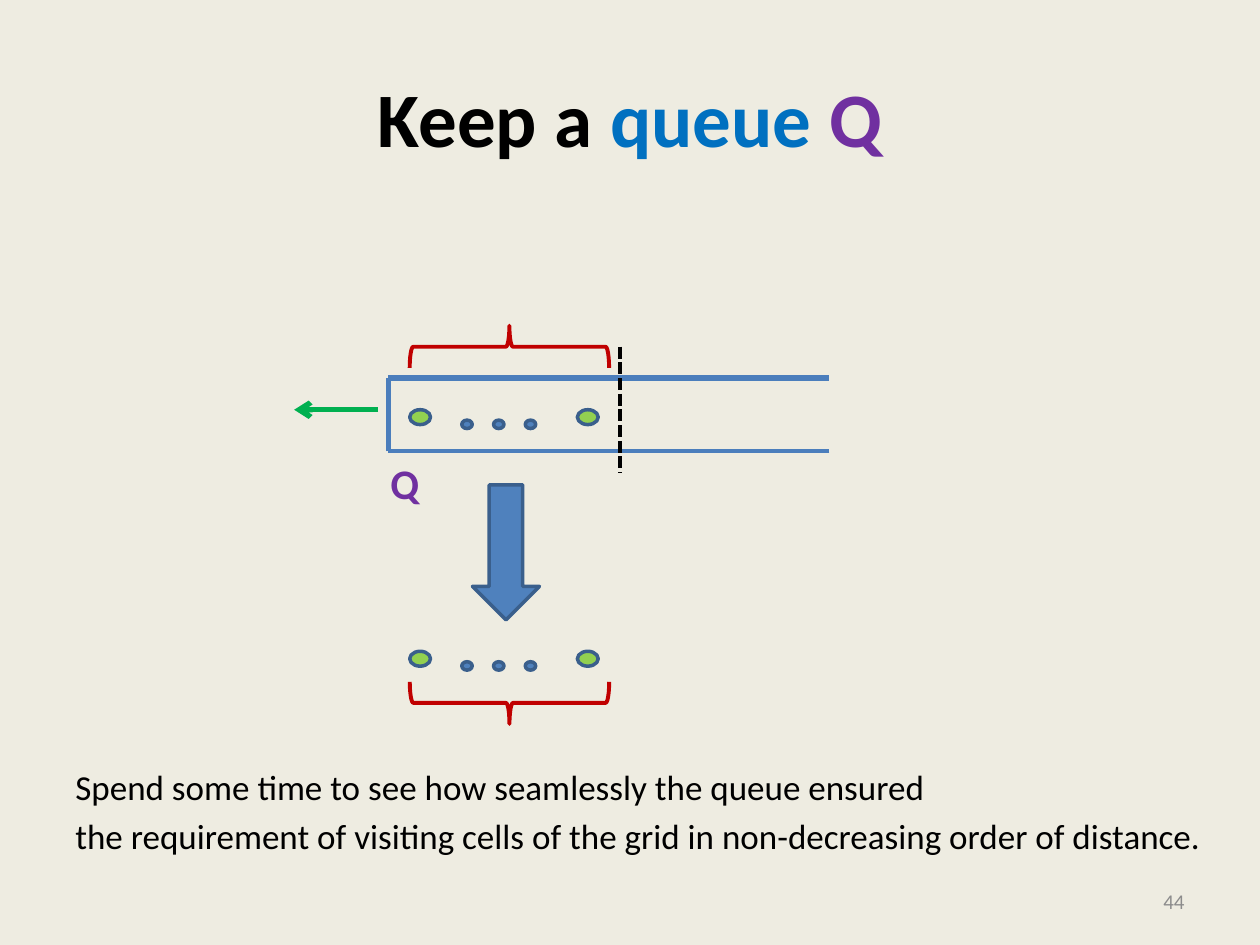
from lxml import etree
from pptx import Presentation
from pptx.dml.color import RGBColor
from pptx.enum import dml, shapes, text
from pptx.oxml import ns
from pptx.util import Cm, Pt

COLORS = {
    "background": "EEECE1",
    "black": "000000",
    "queue": "0070C0",
    "name": "7030A0",
    "number": "8C8C8C",
    "cell": "92D050",
    "blue": "4F81BD",
    "outline": "3A5F8C",
    "rail": "4B7EBC",
    "brace": "C00000",
    "exit": "00B050",
}
SHAPE = shapes.MSO_SHAPE


def rgb(name):
    return RGBColor.from_string(COLORS[name])


def style_font(font, size, color, bold=False):
    font.name = "Calibri"
    font.size = Pt(size)
    font.bold = bold
    font.color.rgb = rgb(color)


def add_title(slide, parts):
    title = slide.shapes.title
    title.left, title.top, title.width, title.height = Cm(1.27), Cm(0.76), Cm(22.86), Cm(3.18)
    title.text_frame.vertical_anchor = text.MSO_ANCHOR.MIDDLE
    paragraph = title.text_frame.paragraphs[0]
    paragraph.alignment = text.PP_ALIGN.CENTER
    for words, color in parts:
        run = paragraph.add_run()
        run.text = words
        style_font(run.font, 44, color, bold=True)


def add_text(parent, box, lines, size, color, bold=False, wrap=True,
             align=text.PP_ALIGN.LEFT, anchor=text.MSO_ANCHOR.TOP):
    frame = parent.shapes.add_textbox(*map(Cm, box)).text_frame
    frame.word_wrap = wrap
    frame.vertical_anchor = anchor
    for index, line in enumerate(lines):
        paragraph = frame.add_paragraph() if index else frame.paragraphs[0]
        paragraph.text = line
        paragraph.alignment = align
        if index:
            paragraph.space_before = Pt(size * 0.2)
        style_font(paragraph.font, size, color, bold)


def add_shape(parent, kind, box, fill, outline, weight, rotation=0):
    shape = parent.shapes.add_shape(kind, *map(Cm, box))
    shape.shadow.inherit = False
    shape.rotation = rotation
    if fill:
        shape.fill.solid()
        shape.fill.fore_color.rgb = rgb(fill)
    else:
        shape.fill.background()
    shape.line.color.rgb = rgb(outline)
    shape.line.width = Pt(weight)


def add_line(parent, start, end, color, weight):
    line = parent.shapes.add_connector(
        shapes.MSO_CONNECTOR.STRAIGHT, *map(Cm, start + end))
    line.line.color.rgb = rgb(color)
    line.line.width = Pt(weight)
    etree.SubElement(line._element.spPr, ns.qn("a:effectLst"))
    return line


def add_cells(slide, top, brace_middle, brace_rotation):
    group = slide.shapes.add_group_shape()
    for left in (8.26, 11.64):
        add_shape(group, SHAPE.OVAL, (left, top, 0.42, 0.3), "cell", "outline", 2)
    for index in range(3):
        dot = (9.31 + index * 0.64, top + 0.21, 0.21, 0.17)
        add_shape(group, SHAPE.OVAL, dot, "blue", "outline", 2)
    width, height = 0.85, 4.02
    brace = (10.27 - width / 2, brace_middle - height / 2, width, height)
    add_shape(group, SHAPE.RIGHT_BRACE, brace, None, "brace", 2.25, brace_rotation)


def add_queue(slide):
    group = slide.shapes.add_group_shape()
    left, right, top, bottom = 7.83, 16.72, 7.62, 9.1
    add_line(group, (left, top), (right, top), "rail", 3)
    add_line(group, (right, bottom), (left, bottom), "rail", 2.25)
    add_line(group, (left, bottom), (left, top), "rail", 3)
    add_text(group, (7.62, 9.1, 1.09, 1.27), ["Q"], 24, "name", bold=True, wrap=False)


def main():
    deck = Presentation()
    deck.slide_width, deck.slide_height = Cm(25.4), Cm(19.05)
    slide = deck.slides.add_slide(deck.slide_layouts[5])
    slide.background.fill.solid()
    slide.background.fill.fore_color.rgb = rgb("background")

    add_title(slide, [("Keep a ", "black"), ("queue ", "queue"), ("Q", "name")])
    add_text(slide, (1.27, 15.3, 23.93, 2.1), [
        "Spend some time to see how seamlessly the queue ensured",
        "the requirement of visiting cells of the grid in non-decreasing order of distance.",
    ], 20, "black")
    add_text(slide, (18.2, 17.66, 5.93, 1.01), ["44"], 12, "number",
             align=text.PP_ALIGN.RIGHT, anchor=text.MSO_ANCHOR.MIDDLE)

    add_cells(slide, 8.26, 6.99, 270)
    add_queue(slide)
    add_cells(slide, 13.13, 14.17, 90)
    add_shape(slide, SHAPE.LEFT_ARROW, (8.84, 10.46, 2.72, 1.35), "blue", "outline", 2, 270)

    exit_arrow = add_line(slide, (7.62, 8.26), (5.93, 8.26), "exit", 3)
    etree.SubElement(exit_arrow.line._get_or_add_ln(), ns.qn("a:tailEnd"), type="arrow")
    divider = add_line(slide, (12.49, 6.99), (12.49, 9.53), "black", 2.25)
    divider.line.dash_style = dml.MSO_LINE.SQUARE_DOT

    deck.save("out.pptx")


if __name__ == "__main__":
    main()
